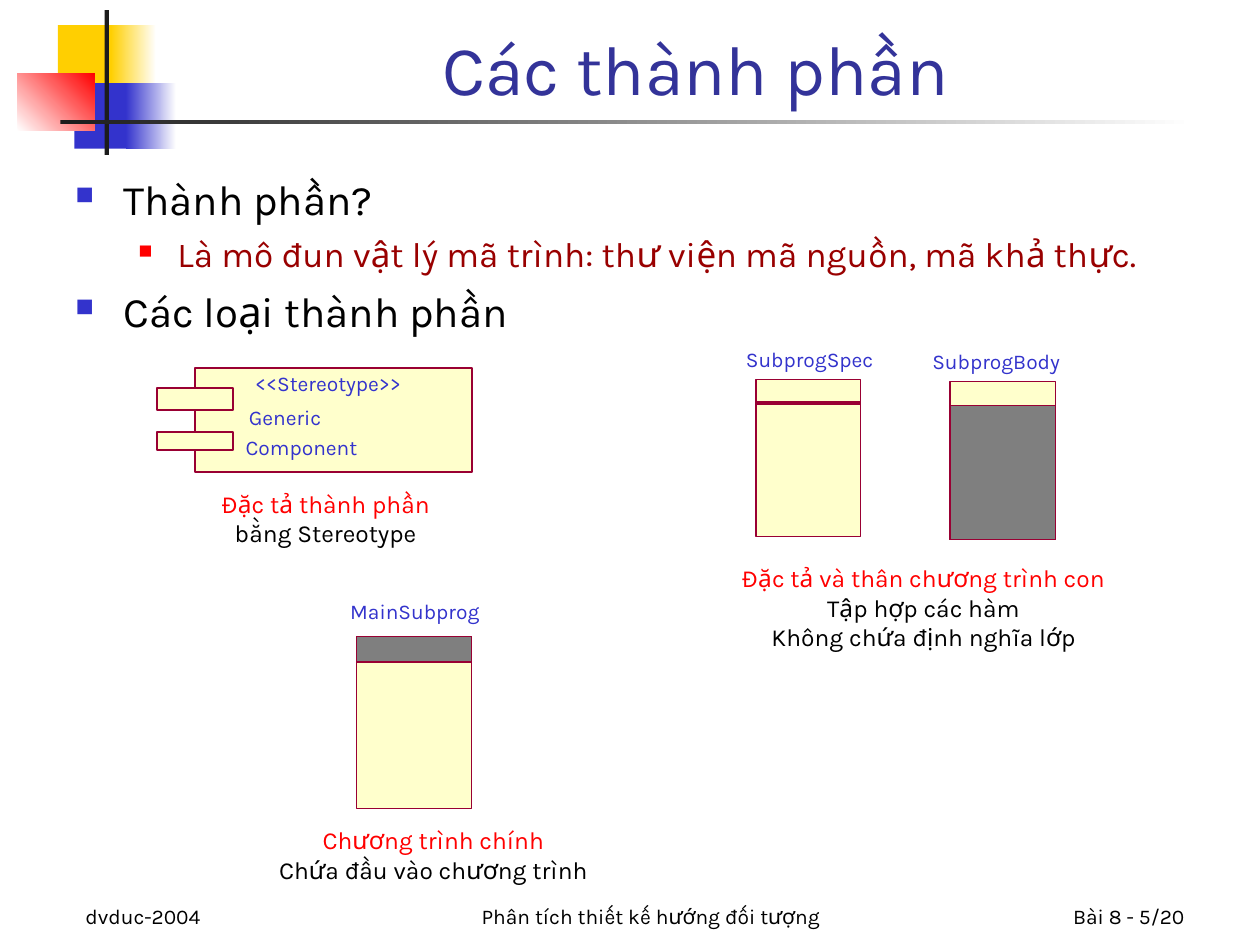
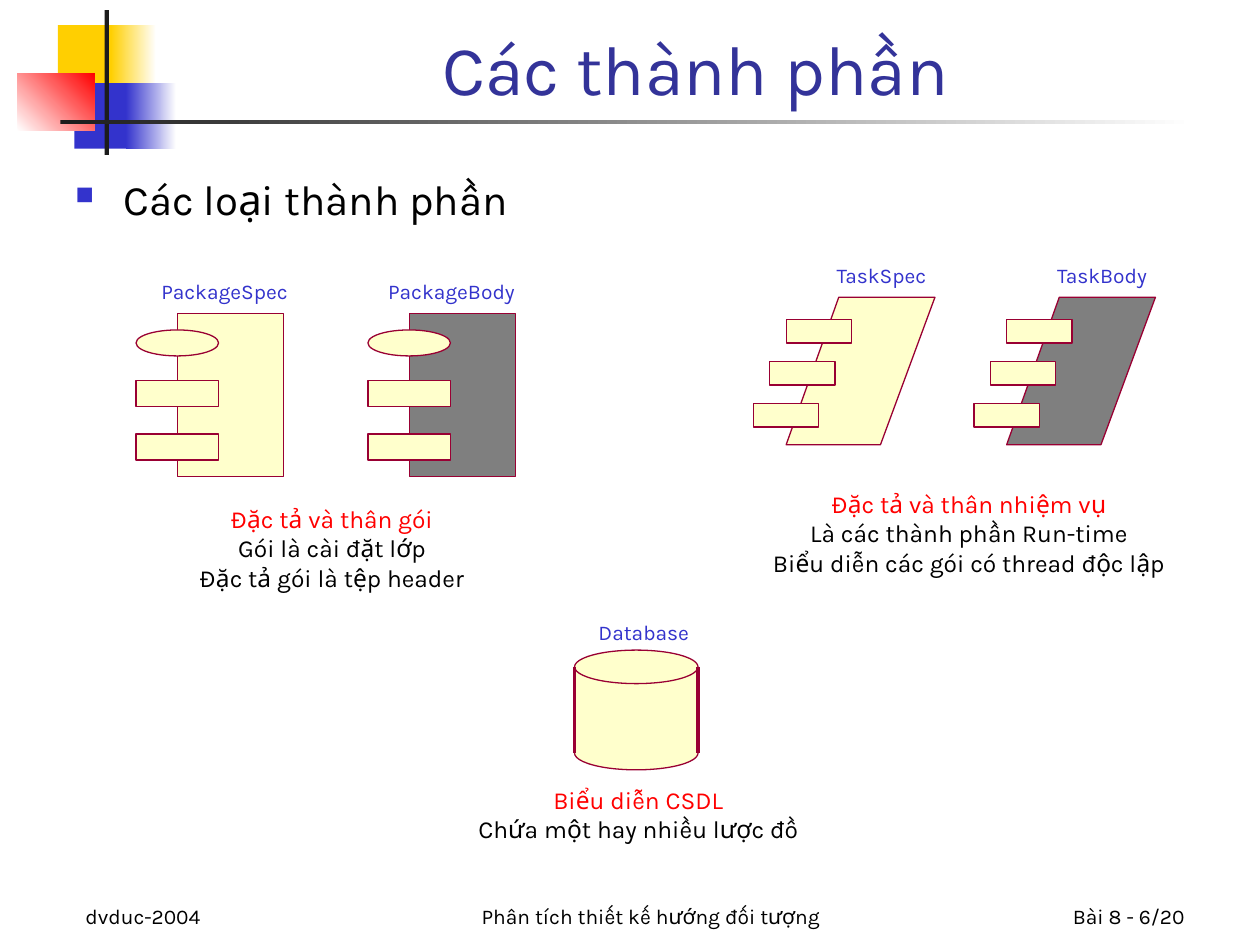
from pptx import Presentation
from pptx.dml.color import RGBColor
from pptx.enum.shapes import MSO_CONNECTOR, MSO_SHAPE
from pptx.enum.text import MSO_ANCHOR, PP_ALIGN
from pptx.oxml.ns import qn
from pptx.util import Inches, Pt
from lxml import etree

RECT, OVAL = MSO_SHAPE.RECTANGLE, MSO_SHAPE.OVAL
LINE = MSO_CONNECTOR.STRAIGHT
LEFT, MID, RIGHT = PP_ALIGN.LEFT, PP_ALIGN.CENTER, PP_ALIGN.RIGHT
TOP, LOW = MSO_ANCHOR.TOP, MSO_ANCHOR.BOTTOM

BLACK = RGBColor(0x00, 0x00, 0x00)
WHITE = RGBColor(0xFF, 0xFF, 0xFF)
INK = RGBColor(0x1C, 0x1C, 0x1C)
GOLD = RGBColor(0xFF, 0xCF, 0x01)
BLUE = RGBColor(0x33, 0x33, 0xCC)
NAVY = RGBColor(0x33, 0x33, 0x99)
RED = RGBColor(0xFF, 0x00, 0x00)
BRICK = RGBColor(0x99, 0x00, 0x00)
WINE = RGBColor(0x99, 0x00, 0x33)
CREAM = RGBColor(0xFF, 0xFF, 0xCC)
GREY = RGBColor(0x7F, 0x7F, 0x7F)

FONT = "Karla"
COLS, ROWS = 100, 75  # square grid cells over the whole slide
CELL = Inches(0.1)
TITLE = "Các thành phần"
KINDS = "Các loại thành phần"
# text size, gap above, left margin, hanging indent, bullet share, bullet colour, text colour
LEVELS = [
    (24, 6, 0.38, 0.38, 60, BLUE, BLACK),
    (20, 5, 0.81, 0.31, 55, RED, BRICK),
]


def emu(*cells):
    return [round(n * CELL) for n in cells]


def part(box, left, top, width, height):
    """Cut a sub-box out of a box, given as shares of it."""
    x, y, w, h = box
    return x + left * w, y + top * h, width * w, height * h


def finish(shape, fill, edge=WINE, weight=0):
    shape.shadow.inherit = False
    shape.fill.solid()
    shape.fill.fore_color.rgb = fill
    if edge is None:
        shape.line.fill.background()
    else:
        shape.line.color.rgb = edge
        shape.line.width = Pt(weight)


def block(slide, box, fill, kind=RECT, edge=WINE, weight=0):
    shape = slide.shapes.add_shape(kind, *emu(*box))
    finish(shape, fill, edge, weight)
    return shape


def fade(slide, box, start, end, angle=0):
    fill = block(slide, box, start, edge=None).fill
    fill.gradient()
    fill.gradient_angle = angle
    for stop, tint in zip(fill.gradient_stops, (start, end)):
        stop.color.rgb = tint


def rule(slide, x1, y1, x2, y2):
    line = slide.shapes.add_connector(LINE, *emu(x1, y1, x2, y2))
    line.line.color.rgb = WINE
    line.line.width = 0
    etree.SubElement(line._element.spPr, qn("a:effectLst"))


def write(slide, box, lines, size, align=LEFT, anchor=TOP, inset=True, wrap=True):
    """Put (text, colour) lines in a text box, one paragraph each."""
    frame = slide.shapes.add_textbox(*emu(*box)).text_frame
    frame.word_wrap = wrap
    frame.vertical_anchor = anchor
    if not inset:
        frame.margin_left = frame.margin_right = 0
        frame.margin_top = frame.margin_bottom = 0
    frame.text = "\n".join(text for text, _ in lines)
    for para, (_, tint) in zip(frame.paragraphs, lines):
        para.alignment = align
        font = para.runs[0].font
        font.name, font.size, font.color.rgb = FONT, Pt(size), tint
    return frame


def tag(slide, box, text):
    write(slide, box, [(text, BLUE)], 12, inset=False, wrap=False)


def caption(slide, box, head, *notes):
    lines = [(head, RED)] + [(note, BLACK) for note in notes]
    write(slide, box, lines, 14, MID, wrap=False)


def emblem(slide):
    block(slide, (4.6, 2, 4.8, 5.2), GOLD, edge=None)
    fade(slide, (8.8, 2, 3.6, 5.2), GOLD, WHITE)
    block(slide, (5.9, 6.6, 4.6, 5.2), BLUE, edge=None)
    fade(slide, (10, 6.6, 4, 5.2), BLUE, WHITE)
    fade(slide, (1.4, 5.8, 6.1, 4.6), WHITE, RED, 45)
    block(slide, (8.3, 0.8, 0.35, 11.5), INK, edge=None)
    fade(slide, (4.8, 9.5, 90, 0.35), INK, WHITE)


def footer(slide, page):
    for left, width, text, align in (
        (5.8, 20.8, "dvduc-2004", LEFT),
        (32.5, 38.3, "Phân tích thiết kế hướng đối tượng", MID),
        (74.2, 20.8, f"Bài 8 - {page}/20", RIGHT),
    ):
        write(slide, (left, 69.2, width, 5), [(text, BLACK)], 12, align, LOW)


def bullets(slide, box, items):
    """Write (level, text) items with square bullets."""
    lines = [(text, LEVELS[level][-1]) for level, text in items]
    frame = write(slide, box, lines, 24)
    for para, (level, _) in zip(frame.paragraphs, items):
        size, gap, margin, hang, share, tint, _ = LEVELS[level]
        para.level = level
        para.space_before = Pt(gap)
        para.runs[0].font.size = Pt(size)
        props = para._p.get_or_add_pPr()
        props.set("marL", str(Inches(margin)))
        props.set("indent", str(-Inches(hang)))
        color = etree.SubElement(props, qn("a:buClr"))
        etree.SubElement(color, qn("a:srgbClr"), val=str(tint))
        etree.SubElement(props, qn("a:buSzPct"), val=str(share * 1000))
        etree.SubElement(props, qn("a:buChar"), char="■")


def page(deck, number, items):
    slide = deck.slides.add_slide(deck.slide_layouts[6])
    emblem(slide)
    footer(slide, number)
    write(slide, (12.6, 0.8, 85.2, 8.4), [(TITLE, NAVY)], 40, MID, LOW)
    bullets(slide, (5, 13.3, 92.9, 55), items)
    return slide


def generic(slide, box):
    """Component box with two lugs and three lines of text."""
    block(slide, part(box, 0.12, 0, 0.88, 1), CREAM, weight=1.13)
    for top, height in ((0.19, 0.21), (0.61, 0.18)):
        block(slide, part(box, 0, top, 0.24, height), CREAM, weight=1.13)
    for left, top, width, text in (
        (0.31, 0.03, 0.49, "<<Stereotype>>"),
        (0.29, 0.35, 0.26, "Generic"),
        (0.28, 0.64, 0.37, "Component"),
    ):
        tag(slide, part(box, left, top, width, 0.24), text)


def card(slide, box, shade=None):
    """Subprogram: a card with a grey band (top, height), or just a divider."""
    block(slide, box, CREAM)
    if shade:
        top, height = shade
        block(slide, part(box, 0, top, 1, height), GREY)
    else:
        x, y, w, _ = part(box, 0, 0.15, 1, 0)
        rule(slide, x, y, x + w, y)


def package(slide, box, fill):
    block(slide, part(box, 0.28, 0, 0.72, 1), fill)
    for top, kind in ((0.1, OVAL), (0.41, RECT), (0.74, RECT)):
        block(slide, part(box, 0, top, 0.56, 0.16), CREAM, kind)


def task(slide, box, fill):
    """Slanted body with three lugs along its left edge."""
    corners = [(0.47, 0), (1, 0), (0.7, 1), (0.18, 1)]
    start, *rest = [emu(*part(box, x, y, 0, 0)[:2]) for x, y in corners]
    path = slide.shapes.build_freeform(*start)
    path.add_line_segments(rest, close=True)
    finish(path.convert_to_shape(), fill)
    for step in range(3):
        lug = part(box, 0.18 - 0.09 * step, 0.15 + 0.285 * step, 0.36, 0.16)
        block(slide, lug, CREAM)


def store(slide, box):
    """Database drum."""
    block(slide, part(box, 0, 0.72, 1, 0.28), CREAM, OVAL)
    wall = part(box, 0, 0.14, 1, 0.72)
    block(slide, wall, CREAM, edge=None)
    block(slide, part(box, 0, 0, 1, 0.28), CREAM, OVAL)
    x, y, w, h = wall
    for side in (x, x + w):
        rule(slide, side, y, side, y + h)


def programs(deck):
    slide = page(deck, 5, [
        (0, "Thành phần?"),
        (1, "Là mô đun vật lý mã trình: thư viện mã nguồn, mã khả thực."),
        (0, KINDS),
    ])
    generic(slide, (12.5, 29.2, 25, 8.3))
    caption(slide, (15, 38.3, 21.7, 5.7), "Đặc tả thành phần", "bằng Stereotype")

    card(slide, (60, 30.1, 8.3, 12.5))
    tag(slide, (59.2, 27.5, 10.4, 2), "SubprogSpec")
    card(slide, (75.4, 30.3, 8.4, 12.5), (0.15, 0.85))
    tag(slide, (74, 27.7, 10.7, 2), "SubprogBody")
    caption(slide, (57.6, 44.2, 31.4, 8), "Đặc tả và thân chương trình con",
            "Tập hợp các hàm", "Không chứa định nghĩa lớp")

    card(slide, (28.3, 50.5, 9.1, 13.7), (0, 0.15))
    tag(slide, (27.8, 47.5, 10.6, 2), "MainSubprog")
    caption(slide, (20.6, 65, 27.6, 5.7), "Chương trình chính",
            "Chứa đầu vào chương trình")


def modules_page(deck):
    slide = page(deck, 6, [(0, KINDS)])
    for left, shift, width, name, fill in (
        (10.8, 2, 10.2, "PackageSpec", CREAM),
        (29.2, 1.6, 10.5, "PackageBody", GREY),
    ):
        package(slide, (left, 24.9, 11.7, 12.9), fill)
        tag(slide, (left + shift, 22.1, width, 2), name)
    caption(slide, (14.5, 39.5, 23.7, 8), "Đặc tả và thân gói",
            "Gói là cài đặt lớp", "Đặc tả gói là tệp header")

    for left, name, fill in ((59.8, "TaskSpec", CREAM), (77.3, "TaskBody", GREY)):
        task(slide, (left, 23.6, 14.4, 11.7), fill)
        tag(slide, (left + 6.6, 20.8, 7.4, 2), name)
    caption(slide, (60, 38.3, 33.8, 8), "Đặc tả và thân nhiệm vụ",
            "Là các thành phần Run-time", "Biểu diễn các gói có thread độc lập")

    store(slide, (45.6, 51.6, 9.8, 9.5))
    tag(slide, (47.5, 49.2, 7.4, 2), "Database")
    caption(slide, (36.7, 61.8, 27.9, 5.7), "Biểu diễn CSDL",
            "Chứa một hay nhiều lược đồ")


def main():
    deck = Presentation()
    deck.slide_width, deck.slide_height = emu(COLS, ROWS)
    programs(deck)
    modules_page(deck)
    deck.save("out.pptx")


if __name__ == "__main__":
    main()
